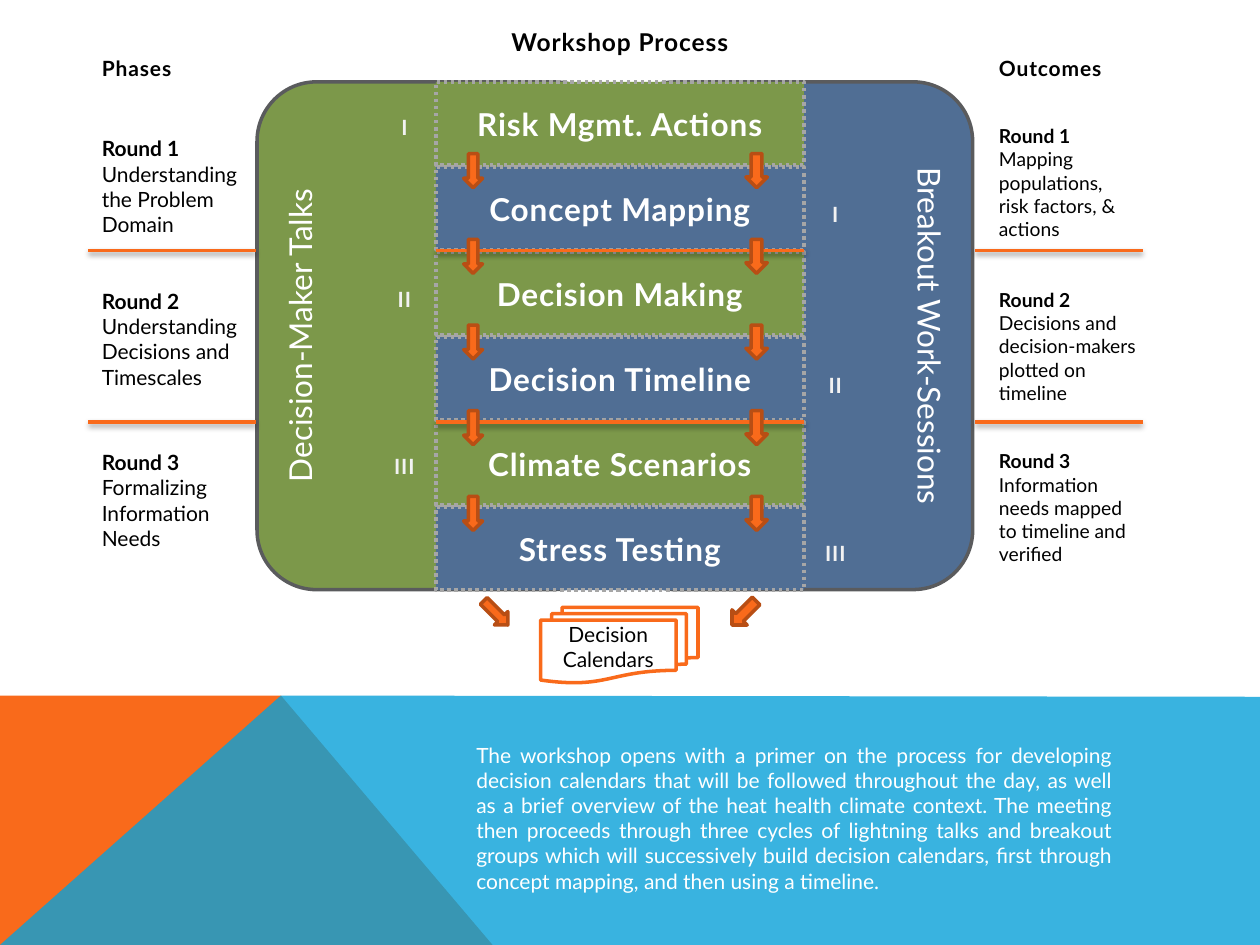
from dataclasses import dataclass

from lxml import etree
from pptx import Presentation
from pptx.dml.color import RGBColor
from pptx.enum import dml, shapes, text
from pptx.oxml.ns import qn
from pptx.util import Inches, Pt


@dataclass(frozen=True)
class Theme:
    font: str = "Lato"
    orange: str = "F96A1B"
    rust: str = "B84E14"
    blue: str = "08A1D9"
    green: str = "7C984A"
    slate: str = "506E94"
    frame: str = "5A5B5D"
    dots: str = "A6A6A6"
    white: str = "FFFFFF"
    pale: str = "F2F2F2"
    black: str = "000000"
    heading: int = 18
    title: int = 14
    body: int = 12
    small: int = 11
    line: int = 2


THEME = Theme()
KIND = shapes.MSO_SHAPE
ALIGN = text.PP_ALIGN
ANCHOR = text.MSO_ANCHOR
COLUMN_LEFT, COLUMN_WIDTH = 3.46, 2.92
ROW_TOP, ROW_STEP, ROW_HEIGHT = 0.65, 0.675, 0.66
STEPS = ["Risk Mgmt. Actions", "Concept Mapping", "Decision Making",
         "Decision Timeline", "Climate Scenarios", "Stress Testing"]
PHASES = ["Understanding the Problem Domain",
          "Understanding Decisions and Timescales",
          "Formalizing Information Needs"]
OUTCOMES = ["Mapping populations, \nrisk factors, & actions",
            "Decisions and decision-makers plotted on timeline",
            "Information needs mapped to timeline and verified"]
SUMMARY = (
    "The workshop opens with a primer on the process for developing decision "
    "calendars that will be followed throughout the day, as well as a brief "
    "overview of the heat health climate context. The meeting then proceeds "
    "through three cycles of lightning talks and breakout groups which will "
    "successively build decision calendars, first through concept mapping, "
    "and then using a timeline.")


def inches(*lengths):
    return [Inches(length) for length in lengths]


def write(shape, content, *, lead="", size=THEME.body, color=THEME.black,
          bold=False, spacing=0, align=ALIGN.LEFT, anchor=ANCHOR.TOP,
          grow=False):
    frame = shape.text_frame
    frame.word_wrap = True
    frame.auto_size = (text.MSO_AUTO_SIZE.SHAPE_TO_FIT_TEXT if grow
                       else text.MSO_AUTO_SIZE.NONE)
    frame.vertical_anchor = anchor
    paragraph = frame.paragraphs[0]
    paragraph.alignment = align
    paragraph.space_before = Pt(0)

    def add_run(words, weight):
        run = paragraph.add_run()
        run.text = words
        run.font.name = THEME.font
        run.font.size = Pt(size)
        run.font.bold = weight
        run.font.color.rgb = RGBColor.from_string(color)
        if spacing:
            run._r.get_or_add_rPr().set("spc", str(round(spacing * 100)))

    if lead:
        add_run(lead, True)
    for index, words in enumerate(content.split("\n")):
        if index:
            paragraph.add_line_break()
        add_run(words, bold)


def add_label(slide, box, content, **style):
    write(slide.shapes.add_textbox(*inches(*box)), content, **style)


def paint(shape, fill, line=None, dash=None):
    shape.shadow.inherit = False
    shape.fill.solid()
    shape.fill.fore_color.rgb = RGBColor.from_string(fill)
    if line is None:
        shape.line.fill.background()
        return
    shape.line.color.rgb = RGBColor.from_string(line)
    shape.line.width = Pt(THEME.line)
    if dash:
        shape.line.dash_style = dash


def add_box(slide, kind, box, fill, line, dash=None):
    shape = slide.shapes.add_shape(kind, *inches(*box))
    paint(shape, fill, line, dash)
    return shape


def add_polygon(slide, points, fill, opacity=100):
    corners = [inches(*point) for point in points]
    builder = slide.shapes.build_freeform(*corners[0])
    builder.add_line_segments(corners[1:], close=True)
    shape = builder.convert_to_shape()
    paint(shape, fill)
    if opacity < 100:
        color = shape.element.spPr.find(".//" + qn("a:srgbClr"))
        etree.SubElement(color, qn("a:alpha"), val=str(opacity * 1000))


def add_panel(slide, left, content, fill, direction):
    panel = add_box(slide, KIND.ROUNDED_RECTANGLE,
                    (left, ROW_TOP, 2.83, 4.03), fill, THEME.frame)
    write(panel, content, size=THEME.heading, color=THEME.white,
          align=ALIGN.CENTER)
    panel.text_frame._txBody.bodyPr.set("vert", direction)


def add_divider(slide, left, right, y):
    line = slide.shapes.add_connector(
        shapes.MSO_CONNECTOR.STRAIGHT, *inches(left, y, right, y))
    line.line.color.rgb = RGBColor.from_string(THEME.orange)
    line.line.width = Pt(THEME.line)
    effects = etree.SubElement(line.element.spPr, qn("a:effectLst"))
    shadow = etree.SubElement(
        effects, qn("a:outerShdw"), blurRad=str(Pt(3.1)), dist=str(Pt(1.6)),
        dir="5400000", rotWithShape="0")
    color = etree.SubElement(shadow, qn("a:srgbClr"), val=THEME.black)
    etree.SubElement(color, qn("a:alpha"), val="38000")


def add_arrow_pair(slide, lefts, top, turn=0):
    for left, width, angle in zip(lefts, (0.15, 0.17), (-turn, turn)):
        arrow = add_box(slide, KIND.DOWN_ARROW, (left, top, width, 0.27),
                        THEME.orange, THEME.rust)
        arrow.rotation = angle


def place_placeholder(placeholder, box):
    placeholder.left, placeholder.top, placeholder.width, placeholder.height = \
        inches(*box)
    placeholder.element.getparent().append(placeholder.element)


def add_steps(slide):
    for index, name in enumerate(STEPS):
        step = add_box(
            slide, KIND.RECTANGLE,
            (COLUMN_LEFT, ROW_TOP + index * ROW_STEP, COLUMN_WIDTH, ROW_HEIGHT),
            (THEME.green, THEME.slate)[index % 2], THEME.dots,
            dml.MSO_LINE.ROUND_DOT)
        write(step, name, size=THEME.heading, color=THEME.white, bold=True,
              spacing=0.5, align=ALIGN.CENTER, anchor=ANCHOR.MIDDLE)


def add_rounds(slide):
    numeral_tops = (0.8, 2.16, 3.49)
    phase_tops = (1.03, 2.24, 3.52)
    outcome_tops = (0.94, 2.24, 3.52)
    for index in range(3):
        numeral = "I" * (index + 1)
        for left, drop in ((2.96, 0), (6.38, 0.69)):
            add_label(slide, (left, numeral_tops[index] + drop, 0.5, 0.36),
                      numeral, color=THEME.pale, bold=True, spacing=0.5,
                      align=ALIGN.CENTER, anchor=ANCHOR.BOTTOM)
        lead = f"Round {index + 1} "
        add_label(slide, (0.71, phase_tops[index], 1.33, 0.91), PHASES[index],
                  lead=lead, grow=True)
        add_label(slide, (7.83, outcome_tops[index], 1.33, 1.03),
                  OUTCOMES[index], lead=lead, size=THEME.small, grow=True)
    for left, width, heading in ((0.71, 2.92, "Phases"),
                                 (7.83, 2.17, "Outcomes")):
        add_label(slide, (left, 0.33, width, 0.36), heading, bold=True,
                  spacing=0.5, anchor=ANCHOR.BOTTOM)


def main():
    presentation = Presentation()
    presentation.slide_width, presentation.slide_height = inches(10, 7.5)
    slide = presentation.slides.add_slide(presentation.slide_layouts[1])
    title, body = slide.placeholders

    add_polygon(slide, [(0, 7.5), (0, 5.52), (2.23, 5.52), (3.91, 7.5)],
                THEME.orange)
    add_polygon(slide, [(0, 7.5), (2.23, 5.52), (10, 5.53), (10, 7.5)],
                THEME.blue, opacity=80)
    add_panel(slide, 4.89, "Breakout Work-Sessions", THEME.slate, "vert")
    add_panel(slide, 2.04, "Decision-Maker Talks", THEME.green, "vert270")
    add_steps(slide)

    place_placeholder(body, (3.68, 5.84, 5.25, 1.31))
    properties = body.text_frame.paragraphs[0]._p.get_or_add_pPr()
    properties.set("marL", "0")
    properties.set("indent", "0")
    etree.SubElement(properties, qn("a:buNone"))
    write(body, SUMMARY, color=THEME.white, align=ALIGN.JUSTIFY, grow=True)
    place_placeholder(title, (COLUMN_LEFT, 0.14, COLUMN_WIDTH, 0.36))
    write(title, "Workshop Process", size=THEME.title, bold=True, spacing=0.5,
          align=ALIGN.CENTER, anchor=ANCHOR.BOTTOM)

    add_rounds(slide)
    for y in (1.99, 3.35):
        for left, right in ((0.7, 2.03), (3.46, 6.38), (7.74, 9.07)):
            add_divider(slide, left, right, y)

    calendars = add_box(slide, KIND.FLOWCHART_MULTIDOCUMENT,
                        (4.29, 4.82, 1.25, 0.6), THEME.white, THEME.orange)
    write(calendars, "Decision Calendars", align=ALIGN.CENTER,
          anchor=ANCHOR.MIDDLE)
    calendars.text_frame.margin_bottom = Inches(0.1)
    for index in range(len(STEPS) - 1):
        add_arrow_pair(slide, (3.68, 5.92), 1.22 + index * 0.68)
    add_arrow_pair(slide, (3.86, 5.82), 4.73, turn=45)
    presentation.save("out.pptx")


if __name__ == "__main__":
    main()
